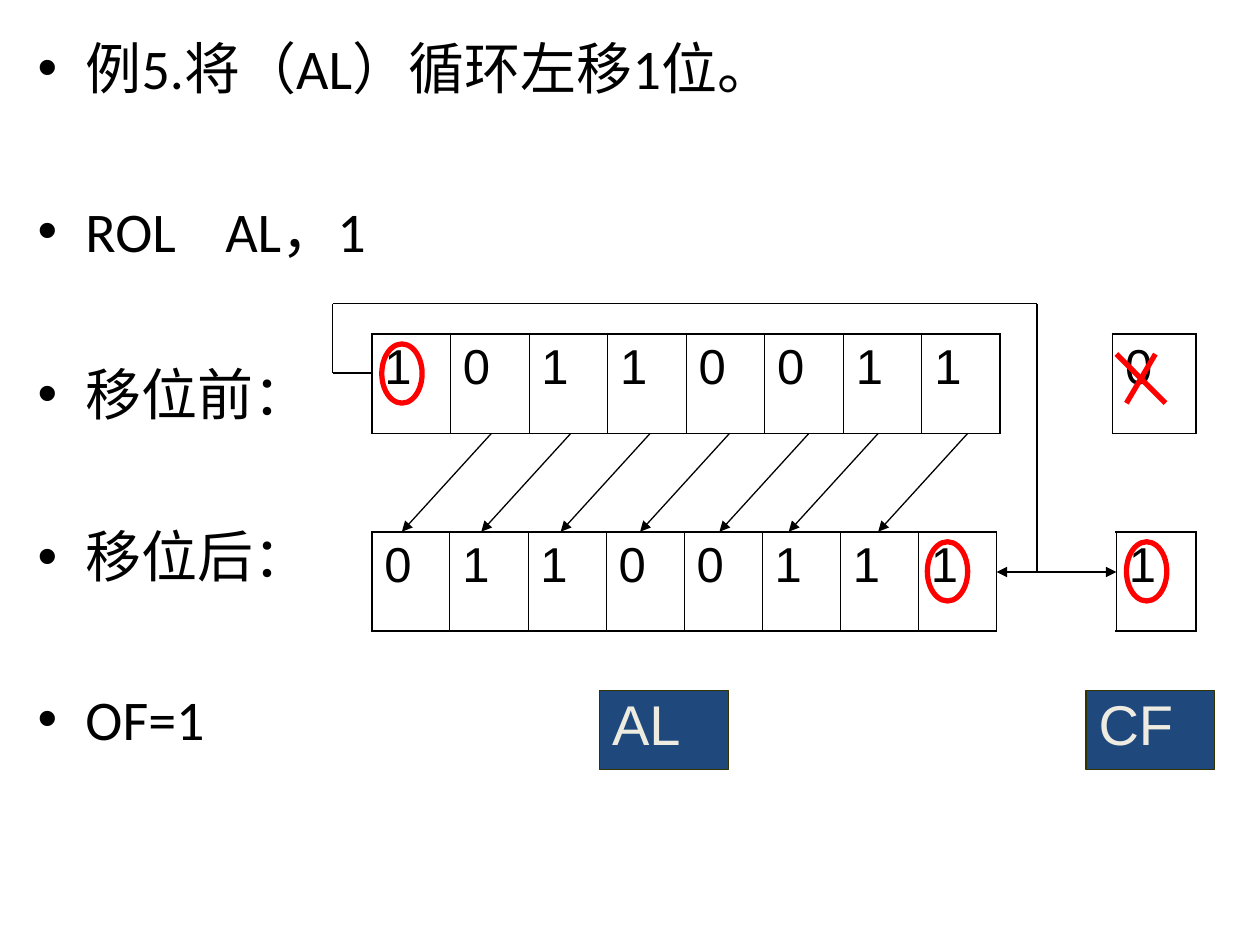
from dataclasses import dataclass
from itertools import pairwise

from lxml.etree import SubElement
from pptx import Presentation
from pptx.dml.color import RGBColor
from pptx.enum.shapes import MSO_CONNECTOR, MSO_SHAPE
from pptx.enum.text import MSO_ANCHOR, PP_ALIGN
from pptx.oxml.ns import qn
from pptx.util import Inches, Pt

BLACK, RED = "000000", "FF0000"
THIN, THICK = 0.45, 1.08
ROW_H = 0.79
BEFORE_Y, AFTER_Y = 2.65, 4.22


@dataclass
class Register:
    x: float
    y: float
    w: float
    bits: str


@dataclass
class Label:
    x: float
    text: str


REGISTERS = [
    Register(2.95, BEFORE_Y, 4.99, "10110011"),
    Register(8.83, BEFORE_Y, 0.66, "0"),
    Register(8.86, AFTER_Y, 0.63, "1"),
    Register(2.95, AFTER_Y, 4.96, "01100111"),
]
LABELS = [Label(8.62, "CF"), Label(4.76, "AL")]
LINES = ["例5.将（AL）循环左移1位。", "ROL\tAL，1", "移位前：", "移位后：", "OF=1"]
MARKS = [(3.03, 2.73), (8.94, 4.3), (7.36, 4.3)]
CROSS = [((8.86, 2.81), (9.25, 3.2)), ((9.17, 2.81), (8.94, 3.2))]
SHIFT_TARGETS = [3.19, 3.82, 4.45, 5.08, 5.71, 6.26, 6.97]
CARRY_LOOP = [(2.95, 2.96), (2.64, 2.96), (2.64, 2.41), (8.23, 2.41), (8.23, 4.54)]
CARRY_ENDS = [(7.91, 4.54), (8.86, 4.54)]


def rgb(value: str) -> RGBColor:
    return RGBColor.from_string(value)


def apply(target, values: dict) -> None:
    for name, value in values.items():
        setattr(target, name, value)


def write(p, text: str, font: str, size: float, color: str = BLACK) -> None:
    r = p.add_run()
    r.text = text
    apply(r.font, {"name": font, "size": Pt(size)})
    r.font.color.rgb = rgb(color)


def add_bullets(slide, lines: list[str]) -> None:
    sp = slide.shapes.add_textbox(Inches(0.2), Inches(0.21), Inches(9.61), Inches(7.09))
    tf = sp.text_frame
    tf.word_wrap = True
    for i, line in enumerate(lines):
        p = tf.add_paragraph() if i else tf.paragraphs[0]
        apply(p, {"space_before": Pt(54 if i else 8), "line_spacing": Pt(39)})
        pPr = p._p.get_or_add_pPr()
        pPr.set("marL", str(Inches(0.38)))
        pPr.set("indent", str(-Inches(0.38)))
        SubElement(pPr, qn("a:buFont"), typeface="Arial")
        SubElement(pPr, qn("a:buChar"), char="•")
        tabs = SubElement(pPr, qn("a:tabLst"))
        SubElement(tabs, qn("a:tab"), pos=str(Inches(1.49)), algn="l")
        write(p, line, "Calibri", 32)


def set_borders(cell, widths: dict[str, float]) -> None:
    tcPr = cell._tc.get_or_add_tcPr()
    for i, (side, width) in enumerate(widths.items()):
        ln = SubElement(tcPr, qn(f"a:ln{side}"), w=str(Pt(width)))
        SubElement(SubElement(ln, qn("a:solidFill")), qn("a:srgbClr"), val=BLACK)
        tcPr.insert(i, ln)


def add_register(slide, reg: Register) -> None:
    n = len(reg.bits)
    table = slide.shapes.add_table(1, n, Inches(reg.x), Inches(reg.y),
                                   Inches(reg.w), Inches(ROW_H)).table
    apply(table, {"first_row": False, "horz_banding": False})
    for i, bit in enumerate(reg.bits):
        table.columns[i].width = Inches(reg.w / n)
        cell = table.cell(0, i)
        cell.fill.background()
        set_borders(cell, {"L": THIN if i else THICK, "R": THIN if i < n - 1 else THICK,
                           "T": THICK, "B": THICK})
        p = cell.text_frame.paragraphs[0]
        p.space_before = Pt(7)
        write(p, bit, "Arial", 28)


def add_label(slide, label: Label) -> None:
    sp = slide.shapes.add_shape(MSO_SHAPE.RECTANGLE, Inches(label.x), Inches(5.48),
                                Inches(1.02), Inches(0.63))
    sp.shadow.inherit = False
    sp.fill.solid()
    sp.fill.fore_color.rgb = rgb("1F497D")
    sp.line.color.rgb = rgb("333300")
    sp.line.width = Pt(0.75)
    tf = sp.text_frame
    tf.vertical_anchor = MSO_ANCHOR.TOP
    p = tf.paragraphs[0]
    apply(p, {"alignment": PP_ALIGN.LEFT, "line_spacing": 0.9})
    write(p, label.text, "Arial", 32, "EEECE1")


def add_mark(slide, x: float, y: float) -> None:
    sp = slide.shapes.add_shape(MSO_SHAPE.OVAL, Inches(x), Inches(y),
                                Inches(0.32), Inches(0.47))
    sp.shadow.inherit = False
    sp.fill.background()
    sp.line.color.rgb = rgb(RED)
    sp.line.width = Pt(3)


def add_line(slide, start: tuple, end: tuple, color: str = BLACK,
             width: float = 0.75, arrow: bool = False) -> None:
    cx = slide.shapes.add_connector(MSO_CONNECTOR.STRAIGHT,
                                    *(Inches(v) for v in (*start, *end)))
    cx.line.color.rgb = rgb(color)
    cx.line.width = Pt(width)
    if arrow:
        SubElement(cx.line._get_or_add_ln(), qn("a:tailEnd"), type="triangle")
    SubElement(cx._element.spPr, qn("a:effectLst"))


def main() -> None:
    prs = Presentation()
    apply(prs, {"slide_width": Inches(10), "slide_height": Inches(7.5)})
    s = prs.slides.add_slide(prs.slide_layouts[6])

    # Example text, registers and their names
    add_bullets(s, LINES)
    for reg in REGISTERS:
        add_register(s, reg)
    for label in LABELS:
        add_label(s, label)

    # Old carry crossed out
    for start, end in CROSS:
        add_line(s, start, end, RED, 3)

    # Each bit moves one place left
    for x in SHIFT_TARGETS:
        add_line(s, (x + 0.71, BEFORE_Y + ROW_H), (x, AFTER_Y), arrow=True)

    # Top bit goes round to the low bit and the carry flag
    for start, end in pairwise(CARRY_LOOP):
        add_line(s, start, end)
    for end in CARRY_ENDS:
        add_line(s, CARRY_LOOP[-1], end, arrow=True)
    for x, y in MARKS:
        add_mark(s, x, y)

    prs.save("out.pptx")


if __name__ == "__main__":
    main()
